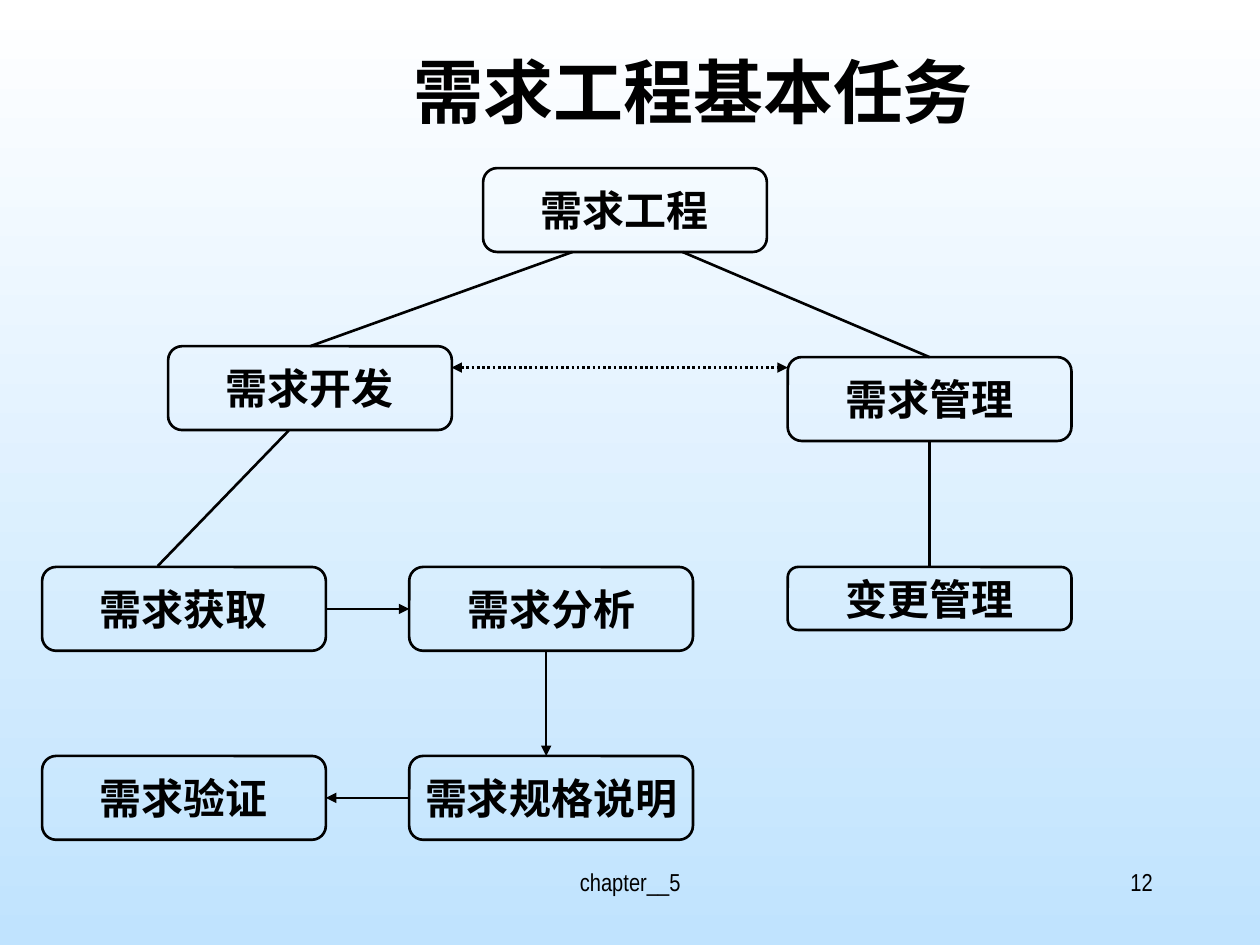
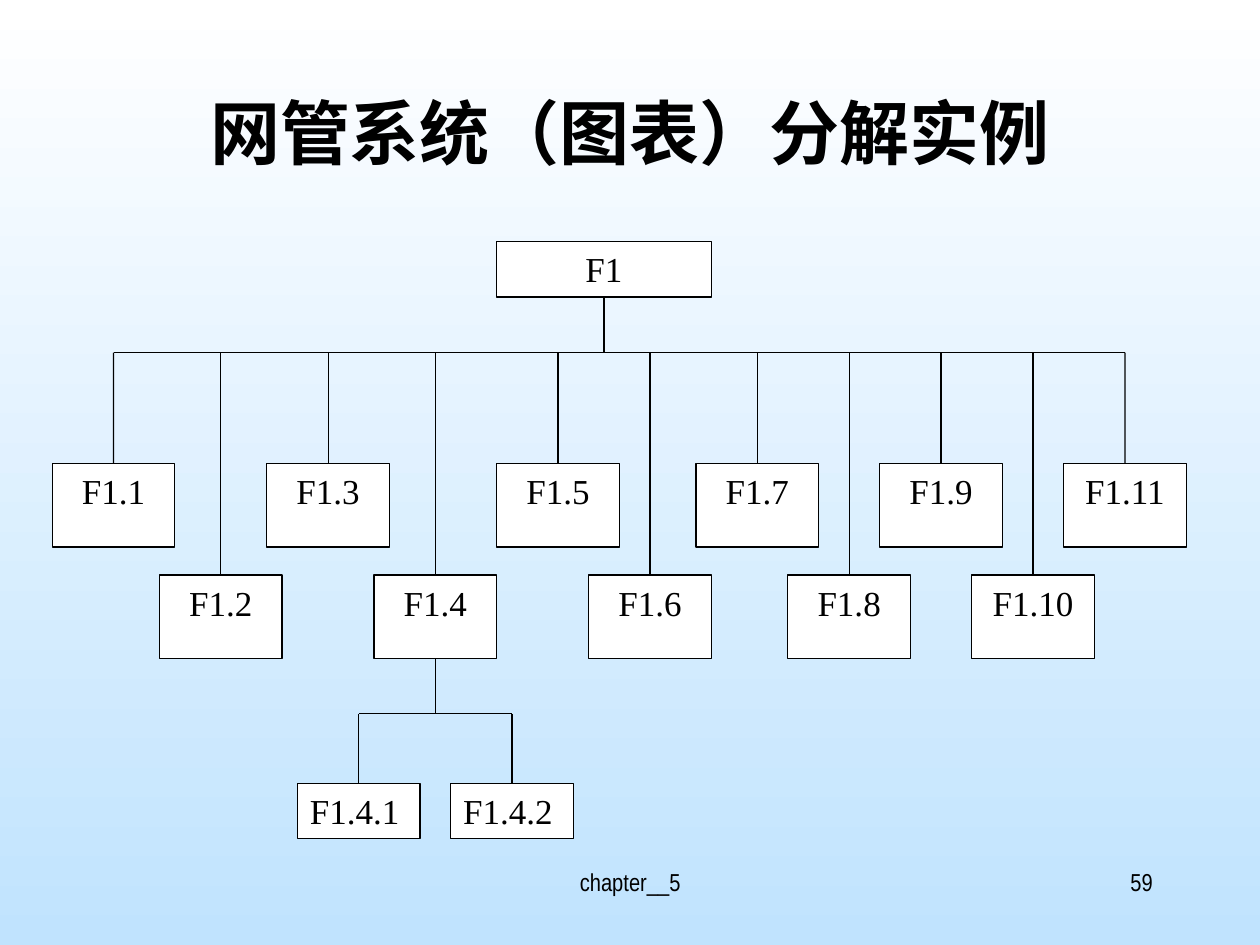
from lxml.etree import SubElement
from pptx import Presentation
from pptx.dml.color import RGBColor
from pptx.enum.dml import MSO_LINE
from pptx.enum.shapes import MSO_CONNECTOR, MSO_SHAPE
from pptx.enum.text import MSO_ANCHOR, PP_ALIGN
from pptx.oxml.ns import qn
from pptx.util import Cm, Pt

STRAIGHT = MSO_CONNECTOR.STRAIGHT
RECTANGLE, ROUNDED = MSO_SHAPE.RECTANGLE, MSO_SHAPE.ROUNDED_RECTANGLE
DOTTED = MSO_LINE.ROUND_DOT
TOP_ANCHOR, MIDDLE_ANCHOR = MSO_ANCHOR.TOP, MSO_ANCHOR.MIDDLE
CENTER, RIGHT_ALIGN, JUSTIFY = PP_ALIGN.CENTER, PP_ALIGN.RIGHT, PP_ALIGN.JUSTIFY
TOP, LEFT, BOTTOM, RIGHT = range(4)

COLORS = {"ink": "000000", "box": "FFFFFF", "sky_top": "FFFFFF", "sky_bottom": "C0E3FE"}
FONTS = {"footer": "Arial Narrow", "task": "Arial", "tree": "Times New Roman",
         "chinese": "Noto Sans CJK SC"}

FOOTER = "chapter__5"
FOOTER_BOX = (8.68, 17.36, 8.05, 1.27)
NUMBER_BOX = (18.2, 17.36, 5.29, 1.27)

TASK_TITLE = ("需求工程基本任务", "Arial Narrow", (3.6, 0.85, 20.75, 2.3))
TASK_NUMBER = "12"
TASK_WIDTH, TASK_HEIGHT = 5.72, 1.69
TASKS = {
    "需求工程": (9.74, 3.39, TASK_HEIGHT),
    "需求管理": (15.88, 7.2, TASK_HEIGHT),
    "需求开发": (3.39, 6.98, TASK_HEIGHT),
    "需求获取": (0.85, 11.43, TASK_HEIGHT),
    "需求分析": (8.25, 11.43, TASK_HEIGHT),
    "需求规格说明": (8.25, 15.24, TASK_HEIGHT),
    "需求验证": (0.85, 15.24, TASK_HEIGHT),
    "变更管理": (15.88, 11.43, 1.27),
}
TASK_LINKS = [
    ((11.54, 5.08), ("需求开发", TOP), {}),
    ((13.76, 5.08), ("需求管理", TOP), {}),
    ((5.82, 8.68), (3.18, 11.41), {}),
    (("需求获取", RIGHT), ("需求分析", LEFT), {"tail": True}),
    ((11.01, 13.13), (11.01, 15.24), {"tail": True}),
    (("需求规格说明", LEFT), ("需求验证", RIGHT), {"tail": True}),
    (("需求管理", BOTTOM), ("变更管理", TOP), {}),
    ((9.1, 7.41), (15.88, 7.41), {"head": True, "tail": True, "dash": DOTTED}),
]

TREE_TITLE = ("网管系统（图表）分解实例", FONTS["chinese"], (1.9, 1.69, 21.59, 3.18))
TREE_NUMBER = "59"
TREE_LEFT, TREE_RIGHT, TREE_TOP = 2.29, 22.68, 4.87
COLUMN_STEP, ROW_STEP = (TREE_RIGHT - TREE_LEFT) / 66, 0.28
ROOT_COLUMN = 32
BRANCH_COLUMNS = [0, 7, 14, 21, 29, 35, 42, 48, 54, 60, 66]
BRANCH_ROWS = (16, 24)
SPLIT_BRANCH = "F1.4"
LEAF_COLUMNS = [16, 26]
ROOT_BAR_ROW, LEAF_BAR_ROW, LEAF_ROW = 8, 34, 39


def color(name):
    return RGBColor.from_string(COLORS[name])


def write(shape, text, *, size, font, bold=False, align=CENTER, anchor=TOP_ANCHOR, wrap=True):
    frame = shape.text_frame
    frame.word_wrap = wrap
    frame.vertical_anchor = anchor
    paragraph = frame.paragraphs[0]
    paragraph.alignment = align
    run = paragraph.add_run()
    run.text = text
    run.font.size = Pt(size)
    run.font.name = font
    run.font.bold = bold
    run.font.color.rgb = color("ink")
    SubElement(run.font._element, qn("a:ea"), typeface=FONTS["chinese"])


def add_text(slide, text, place, **style):
    write(slide.shapes.add_textbox(*map(Cm, place)), text, **style)


def add_box(shapes, kind, text, place, *, line_width, fill=None, **style):
    box = shapes.add_shape(kind, *map(Cm, place))
    box.shadow.inherit = False
    if fill:
        box.fill.solid()
        box.fill.fore_color.rgb = color(fill)
    else:
        box.fill.background()
    box.line.color.rgb = color("ink")
    box.line.width = Pt(line_width)
    write(box, text, **style)
    return box


def add_line(shapes, start, end, *, width, head=False, tail=False, dash=None):
    line = shapes.add_connector(STRAIGHT, 0, 0, 0, 0)
    for point, join, x_name, y_name in ((start, line.begin_connect, "begin_x", "begin_y"),
                                        (end, line.end_connect, "end_x", "end_y")):
        if isinstance(point[0], (int, float)):
            setattr(line, x_name, Cm(point[0]))
            setattr(line, y_name, Cm(point[1]))
        else:
            join(*point)
    line.line.color.rgb = color("ink")
    line.line.width = Pt(width)
    if dash:
        line.line.dash_style = dash
    properties = line._element.spPr
    outline = properties.find(qn("a:ln"))
    for tag, wanted in (("a:headEnd", head), ("a:tailEnd", tail)):
        if wanted:
            SubElement(outline, qn(tag), type="triangle")
    SubElement(properties, qn("a:effectLst"))


def add_slide(presentation, title, number):
    slide = presentation.slides.add_slide(presentation.slide_layouts[6])
    fill = slide.background.fill
    fill.gradient()
    fill.gradient_angle = 270
    for stop, position, name in zip(fill.gradient_stops, (0, 1), ("sky_top", "sky_bottom")):
        stop.position = position
        stop.color.rgb = color(name)
    add_text(slide, FOOTER, FOOTER_BOX, size=14, font=FONTS["footer"])
    add_text(slide, number, NUMBER_BOX, size=14, font=FONTS["footer"], align=RIGHT_ALIGN)
    text, font, place = title
    add_text(slide, text, place, size=40, font=font, bold=True)
    return slide


def build_tasks(presentation):
    shapes = add_slide(presentation, TASK_TITLE, TASK_NUMBER).shapes
    boxes = {}
    for name, (left, top, height) in TASKS.items():
        boxes[name] = add_box(shapes, ROUNDED, name, (left, top, TASK_WIDTH, height),
                              line_width=1.5, size=24, font=FONTS["task"], bold=True,
                              anchor=MIDDLE_ANCHOR, wrap=False)
    for start, end, style in TASK_LINKS:
        start, end = [(boxes.get(point[0], point[0]), point[1]) for point in (start, end)]
        add_line(shapes, start, end, width=1.5, **style)


def tree_point(column, row):
    return TREE_LEFT + column * COLUMN_STEP, TREE_TOP + row * ROW_STEP


def add_node(shapes, text, column, row, columns=8, rows=4, align=CENTER):
    left, top = tree_point(column - columns / 2, row)
    place = (left, top, columns * COLUMN_STEP, rows * ROW_STEP)
    return add_box(shapes, RECTANGLE, text, place, line_width=0.75, fill="box",
                   size=20, font=FONTS["tree"], align=align)


def link_children(shapes, parent, parent_column, bar_row, children):
    columns = [column for column, _ in children]
    add_line(shapes, (parent, BOTTOM), tree_point(parent_column, bar_row), width=0.75)
    add_line(shapes, tree_point(columns[0], bar_row), tree_point(columns[-1], bar_row), width=0.75)
    for column, child in children:
        add_line(shapes, tree_point(column, bar_row), (child, TOP), width=0.75)


def build_tree(presentation):
    slide = add_slide(presentation, TREE_TITLE, TREE_NUMBER)
    shapes = slide.shapes.add_group_shape().shapes
    root = add_node(shapes, "F1", ROOT_COLUMN, 0, columns=14)
    branches = []
    for index, column in enumerate(BRANCH_COLUMNS):
        name = f"F1.{index + 1}"
        branch = add_node(shapes, name, column, BRANCH_ROWS[index % 2], rows=6)
        branches.append((column, branch))
        if name == SPLIT_BRANCH:
            split_column, split = column, branch
    leaves = [(column, add_node(shapes, f"{SPLIT_BRANCH}.{number}", column, LEAF_ROW, align=JUSTIFY))
              for number, column in enumerate(LEAF_COLUMNS, 1)]
    link_children(shapes, root, ROOT_COLUMN, ROOT_BAR_ROW, branches)
    link_children(shapes, split, split_column, LEAF_BAR_ROW, leaves)


def main():
    presentation = Presentation()
    presentation.slide_width, presentation.slide_height = Cm(25.4), Cm(19.05)
    build_tasks(presentation)
    build_tree(presentation)
    presentation.save("out.pptx")


if __name__ == "__main__":
    main()
